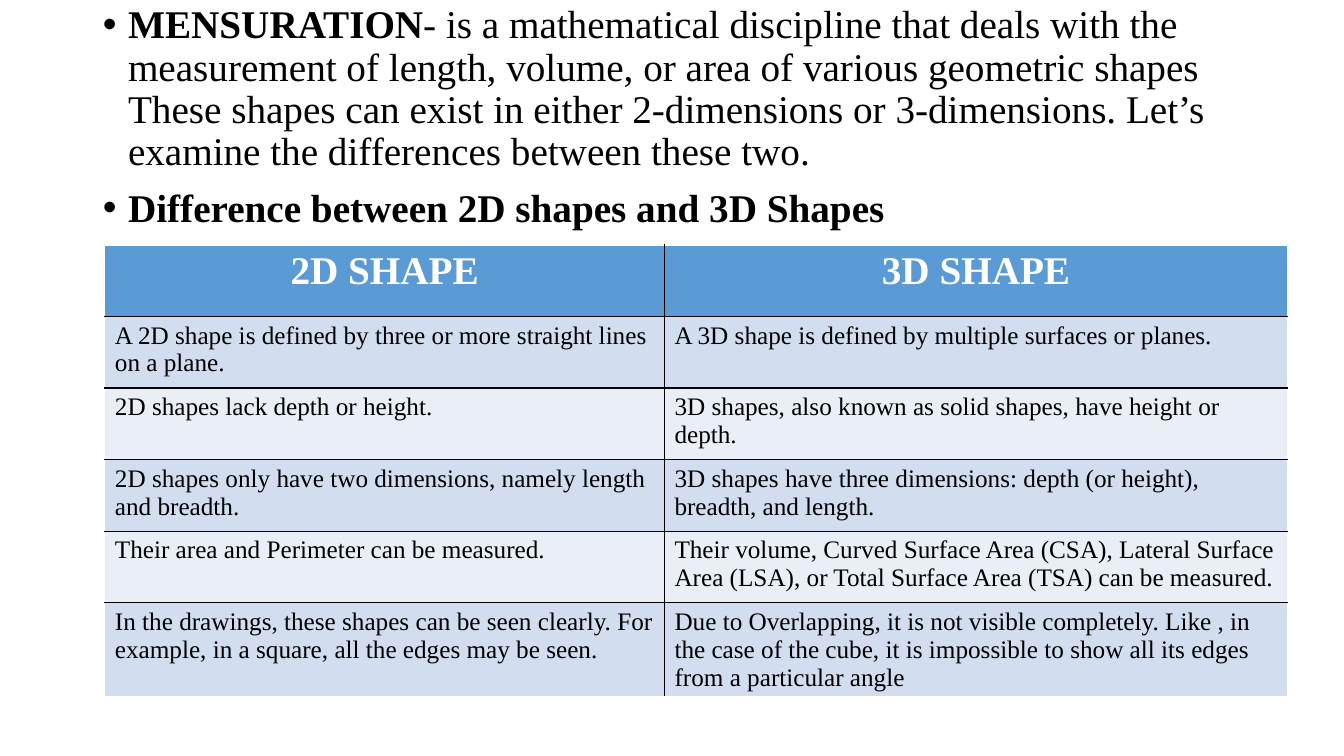
from lxml.etree import SubElement
from pptx import Presentation
from pptx.dml.color import RGBColor
from pptx.enum.text import MSO_AUTO_SIZE as AutoSize, PP_ALIGN as Align
from pptx.oxml.ns import qn
from pptx.util import Inches, Pt

FONT = "Times New Roman"
BLACK = RGBColor(0x00, 0x00, 0x00)
WHITE = RGBColor(0xFF, 0xFF, 0xFF)
HEADER_BLUE = RGBColor(0x5B, 0x9B, 0xD5)
BANDS = (RGBColor(0xEA, 0xEF, 0xF7), RGBColor(0xD2, 0xDE, 0xEF))

INTRO = [
    [("MENSURATION", True),
     ("- is a mathematical discipline that deals with the measurement of length, "
      "volume, or area of various geometric shapes These shapes can exist in either "
      "2-dimensions or 3-dimensions. Let’s examine the differences between these two.",
      False)],
    [("Difference between 2D shapes and 3D Shapes", True)],
]
COMPARISON = [
    ("2D SHAPE", "3D SHAPE"),
    ("A 2D shape is defined by three or more straight lines on a plane.",
     "A 3D shape is defined by multiple surfaces or planes."),
    ("2D shapes lack depth or height.",
     "3D shapes, also known as solid shapes, have height or depth."),
    ("2D shapes only have two dimensions, namely length and breadth.",
     "3D shapes have three dimensions: depth (or height), breadth, and length."),
    ("Their area and Perimeter can be measured.",
     "Their volume, Curved Surface Area (CSA), Lateral Surface Area (LSA), "
     "or Total Surface Area (TSA) can be measured."),
    ("In the drawings, these shapes can be seen clearly. For example, in a square, "
     "all the edges may be seen.",
     "Due to Overlapping, it is not visible completely. Like , in the case of the cube, "
     "it is impossible to show all its edges from a particular angle"),
]
COLUMN_WIDTHS = (5.55, 6.18)
ROW_HEIGHTS = (0.71,) * 5 + (0.87,)


def style_font(font, size, color, bold):
    """Apply the slide's typeface with the given size, colour and weight."""
    font.name, font.size, font.bold = FONT, Pt(size), bold
    font.color.rgb = color


def set_bullet(paragraph):
    """Give a paragraph a hanging round bullet."""
    properties = paragraph._p.get_or_add_pPr()
    properties.set("marL", str(Inches(0.25)))
    properties.set("indent", str(Inches(-0.25)))
    SubElement(properties, qn("a:buFont"), typeface="Arial")
    SubElement(properties, qn("a:buChar"), char="•")


def fill_intro(body):
    """Place the body placeholder and write the bulleted introduction."""
    body.left, body.top = Inches(0.92), Inches(0)
    body.width, body.height = Inches(11.5), Inches(7.23)
    frame = body.text_frame
    frame.auto_size = AutoSize.NONE
    for index, parts in enumerate(INTRO):
        paragraph = frame.add_paragraph() if index else frame.paragraphs[0]
        paragraph.line_spacing, paragraph.space_before = 0.9, Pt(10)
        set_bullet(paragraph)
        style_font(paragraph.font, 28, BLACK, None)
        for text, bold in parts:
            run = paragraph.add_run()
            run.text = text
            style_font(run.font, 28, BLACK, bold)


def set_borders(cell, edges):
    """Draw one-point cell borders, white on the table's outside edges."""
    properties = cell._tc.get_or_add_tcPr()
    for side, is_outer in edges.items():
        line = SubElement(properties, qn(f"a:ln{side}"), w=str(Pt(1)))
        fill = SubElement(line, qn("a:solidFill"))
        SubElement(fill, qn("a:srgbClr"), val=str(WHITE if is_outer else BLACK))


def add_comparison(slide):
    """Add the table that compares 2D and 3D shapes."""
    last_row, last_column = len(ROW_HEIGHTS) - 1, len(COLUMN_WIDTHS) - 1
    table = slide.shapes.add_table(
        len(ROW_HEIGHTS), len(COLUMN_WIDTHS), Inches(1.04), Inches(2.43),
        Inches(sum(COLUMN_WIDTHS)), Inches(sum(ROW_HEIGHTS))).table
    for column, width in zip(table.columns, COLUMN_WIDTHS):
        column.width = Inches(width)
    for r, (height, texts) in enumerate(zip(ROW_HEIGHTS, COMPARISON)):
        table.rows[r].height = Inches(height)
        for c, text in enumerate(texts):
            cell = table.cell(r, c)
            cell.text = text
            set_borders(cell, {"L": c == 0, "R": c == last_column,
                               "T": r == 0, "B": r == last_row})
            cell.fill.solid()
            cell.fill.fore_color.rgb = BANDS[r % 2] if r else HEADER_BLUE
            paragraph = cell.text_frame.paragraphs[0]
            paragraph.alignment = Align.LEFT if r else Align.CENTER
            if r:
                style_font(paragraph.font, 18, BLACK, False)
            else:
                style_font(paragraph.font, 28, WHITE, True)


def main():
    """Build and save the slide."""
    deck = Presentation()
    deck.slide_width, deck.slide_height = Inches(13.33), Inches(7.5)
    slide = deck.slides.add_slide(deck.slide_layouts[1])
    title = slide.shapes.title._element
    title.getparent().remove(title)
    fill_intro(slide.placeholders[1])
    add_comparison(slide)
    deck.save("out.pptx")


if __name__ == "__main__":
    main()
